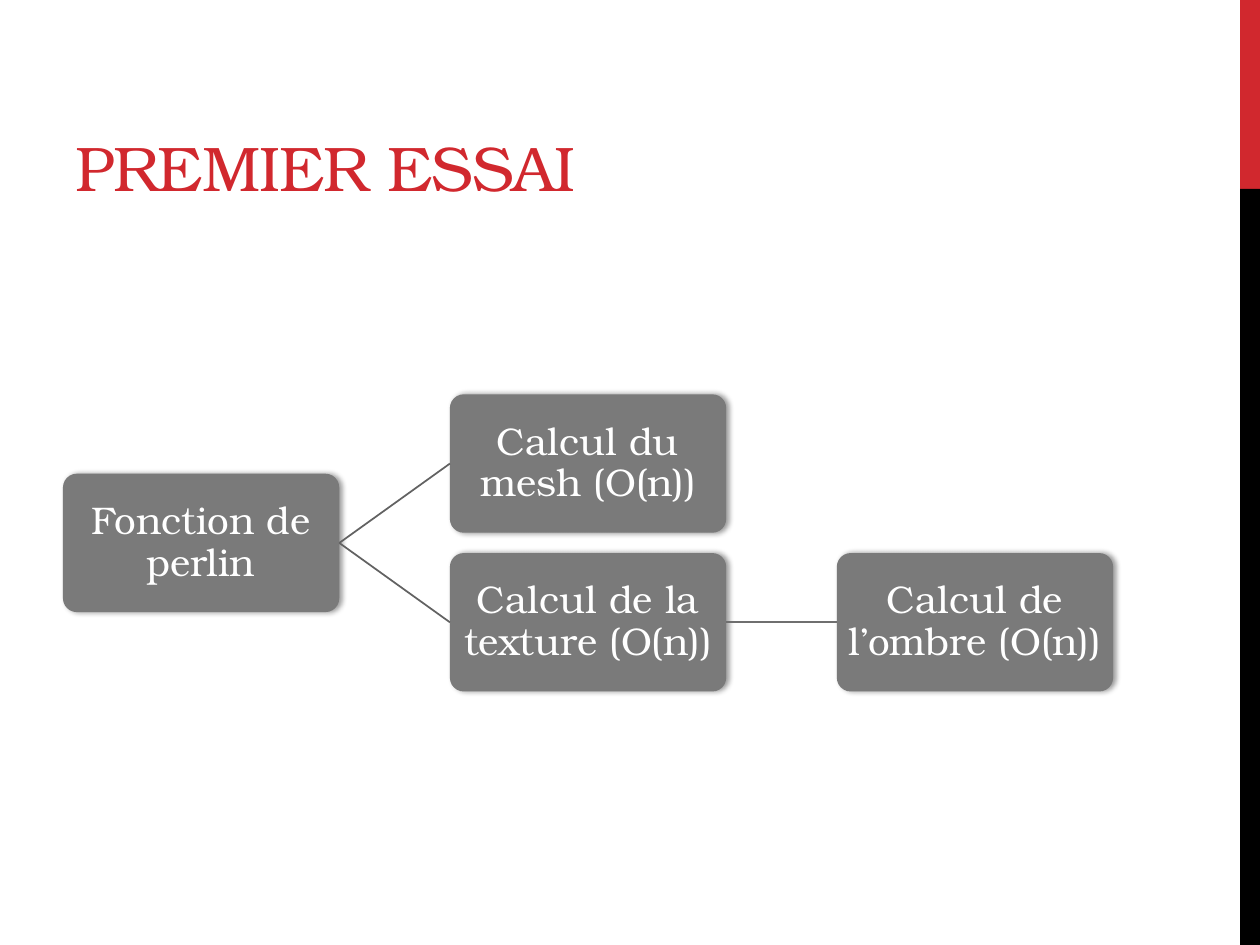
"""Build the slide "Premier essai" with its tree of steps."""
from dataclasses import dataclass

import pptx
import pptx.dml.color
import pptx.enum.shapes
import pptx.enum.text
import pptx.oxml
import pptx.oxml.ns
import pptx.util
from pptx.dml.color import RGBColor
from pptx.util import Cm, Pt

RED = RGBColor(0xD1, 0x28, 0x2E)
BLACK = RGBColor(0, 0, 0)
WHITE = RGBColor(0xFF, 0xFF, 0xFF)
GREY = RGBColor(0x7A, 0x7A, 0x7A)
DARK = RGBColor(0x62, 0x62, 0x62)
MID = RGBColor(0x6F, 0x6F, 0x6F)

FACE = "TeX Gyre Bonum"
LEFT, TOP = 1.27, 7.95
WIDE, HIGH = 5.57, 2.79
COL, ROW = 7.8, 3.2
ANCHOR = pptx.enum.text.MSO_ANCHOR
ALIGN = pptx.enum.text.PP_ALIGN
KIND = pptx.enum.shapes.MSO_SHAPE

SHADE = (
    f'<a:outerShdw {pptx.oxml.ns.nsdecls("a")} blurRad="{Pt(3.1)}" dist="{Pt(1.8)}" '
    'dir="0" rotWithShape="0"><a:srgbClr val="000000"><a:alpha val="40000"/>'
    "</a:srgbClr></a:outerShdw>"
)


@dataclass(frozen=True)
class Step:
    text: str
    col: float
    row: float


@dataclass(frozen=True)
class Link:
    start: int
    end: int
    color: RGBColor


STEPS = (
    Step("Fonction de perlin", 0, 0.5),
    Step("Calcul du mesh (O(n))", 1, 0),
    Step("Calcul de la texture (O(n))", 1, 1),
    Step("Calcul de l’ombre (O(n))", 2, 1),
)
LINKS = (Link(0, 1, DARK), Link(0, 2, DARK), Link(2, 3, MID))


def apply(item, form: dict) -> None:
    """Set each attribute named in the format."""
    for name, value in form.items():
        setattr(item, name, value)


def style(para, size: float, color: RGBColor) -> None:
    """Give a paragraph its font."""
    apply(para.runs[0].font, {"name": FACE, "size": Pt(size)})
    para.runs[0].font.color.rgb = color


def block(slide, kind, place: tuple, color: RGBColor):
    """Add a plain filled shape."""
    shape = slide.shapes.add_shape(kind, *map(Cm, place))
    shape.shadow.inherit = False
    shape.fill.solid()
    shape.fill.fore_color.rgb = color
    shape.line.fill.background()
    return shape


def head(slide, text: str) -> None:
    """Fill and place the title."""
    title = slide.shapes.title
    apply(title, {"left": Cm(1.27), "top": Cm(0.43),
                  "width": Cm(16.08), "height": Cm(3.81)})
    frame = title.text_frame
    frame.text = text
    apply(frame, {"vertical_anchor": ANCHOR.BOTTOM, "word_wrap": True,
                  "auto_size": pptx.enum.text.MSO_AUTO_SIZE.NONE})
    para = frame.paragraphs[0]
    para.alignment = ALIGN.LEFT
    style(para, 36, RED)
    para.runs[0].font._element.set("spc", "-60")


def card(slide, step: Step):
    """Draw one step as a rounded box."""
    place = (LEFT + step.col * COL, TOP + step.row * ROW, WIDE, HIGH)
    box = block(slide, KIND.ROUNDED_RECTANGLE, place, GREY)
    box.adjustments[0] = 0.1
    glow = box._element.spPr.find(pptx.oxml.ns.qn("a:effectLst"))
    glow.append(pptx.oxml.parse_xml(SHADE))
    frame = box.text_frame
    frame.text = step.text
    sides = ("left", "top", "right", "bottom")
    apply(frame, {f"margin_{side}": Cm(0.05) for side in sides})
    apply(frame, {"word_wrap": True, "vertical_anchor": ANCHOR.MIDDLE})
    para = frame.paragraphs[0]
    apply(para, {"alignment": ALIGN.CENTER, "line_spacing": 0.9})
    style(para, 22, WHITE)
    return box


def join(slide, boxes: list, link: Link) -> None:
    """Join the right side of one box to the left side of the next."""
    line = slide.shapes.add_connector(
        pptx.enum.shapes.MSO_CONNECTOR.STRAIGHT, 0, 0, 0, 0)
    line.begin_connect(boxes[link.start], 3)
    line.end_connect(boxes[link.end], 1)
    line.line.color.rgb = link.color
    line.line.width = Pt(1)
    line._element.spPr.append(pptx.oxml.parse_xml(
        f'<a:effectLst {pptx.oxml.ns.nsdecls("a")}/>'))


def main() -> None:
    """Draw and save the slide."""
    deck = pptx.Presentation()
    apply(deck, {"slide_width": Cm(25.4), "slide_height": Cm(19.05)})
    slide = deck.slides.add_slide(deck.slide_layouts[5])
    block(slide, KIND.RECTANGLE, (25, 0, 0.4, 3.81), RED)
    block(slide, KIND.RECTANGLE, (25, 3.81, 0.4, 15.24), BLACK)
    head(slide, "PREMIER ESSAI")
    boxes = [card(slide, step) for step in STEPS]
    for link in LINKS:
        join(slide, boxes, link)
    deck.save("out.pptx")


if __name__ == "__main__":
    main()
